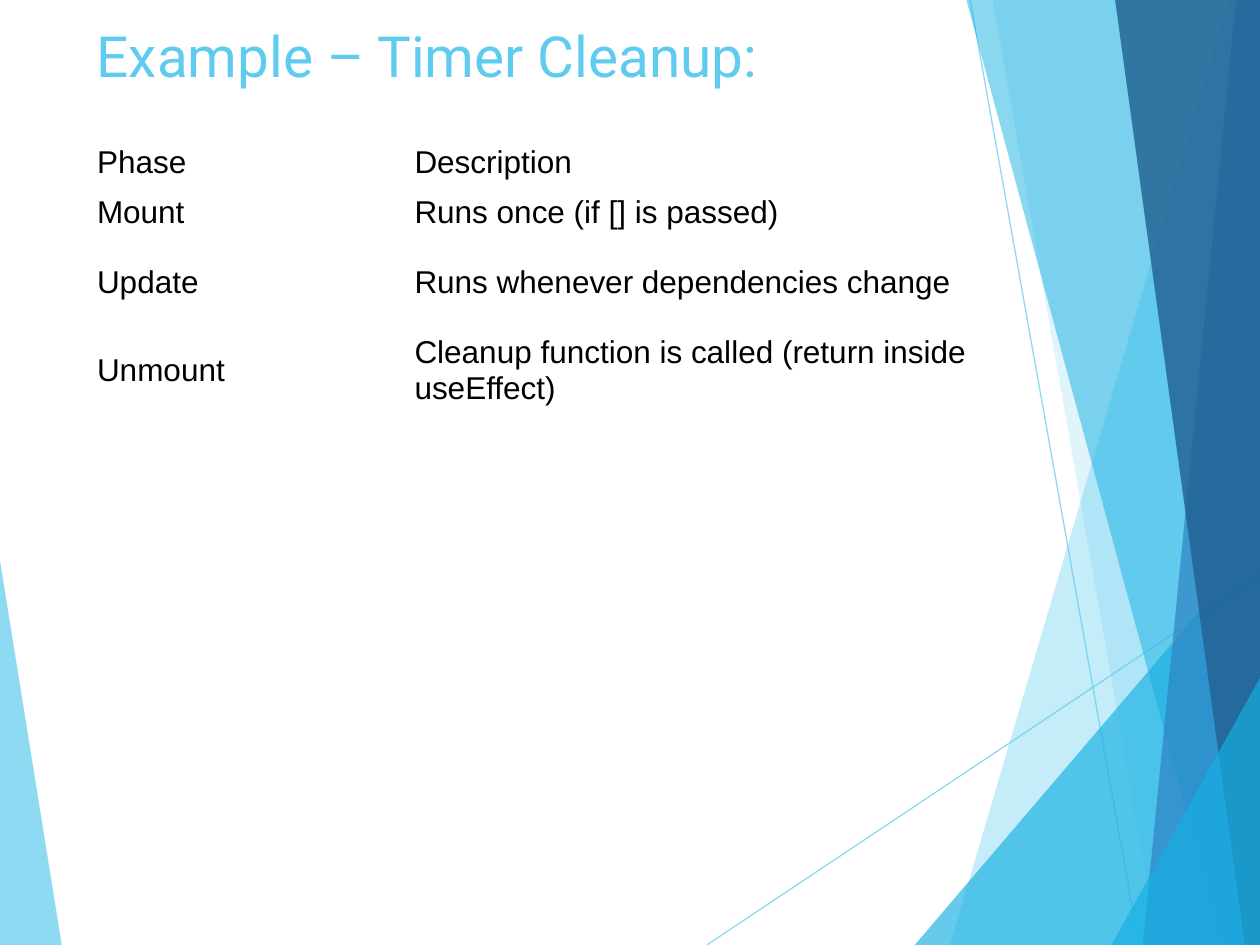
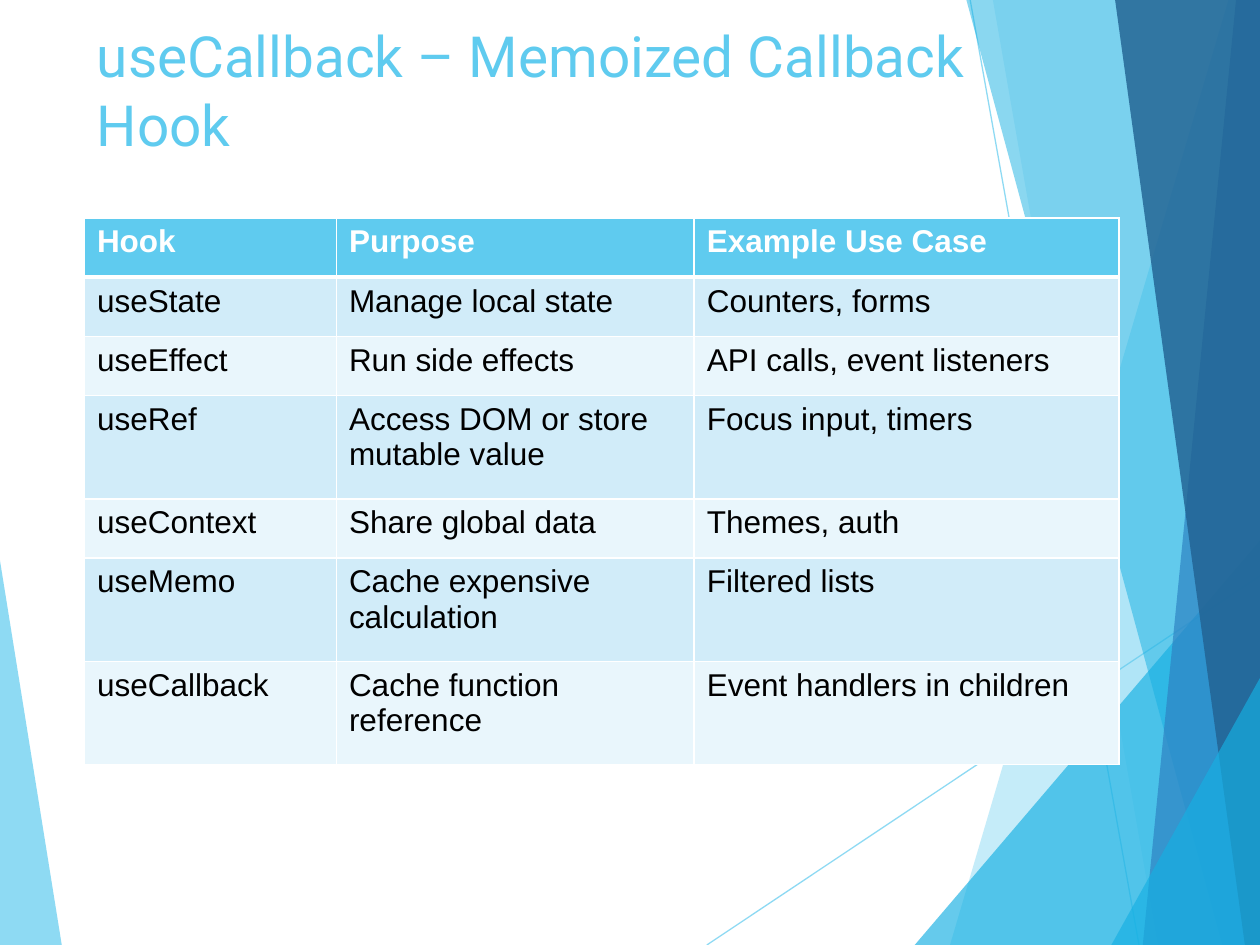
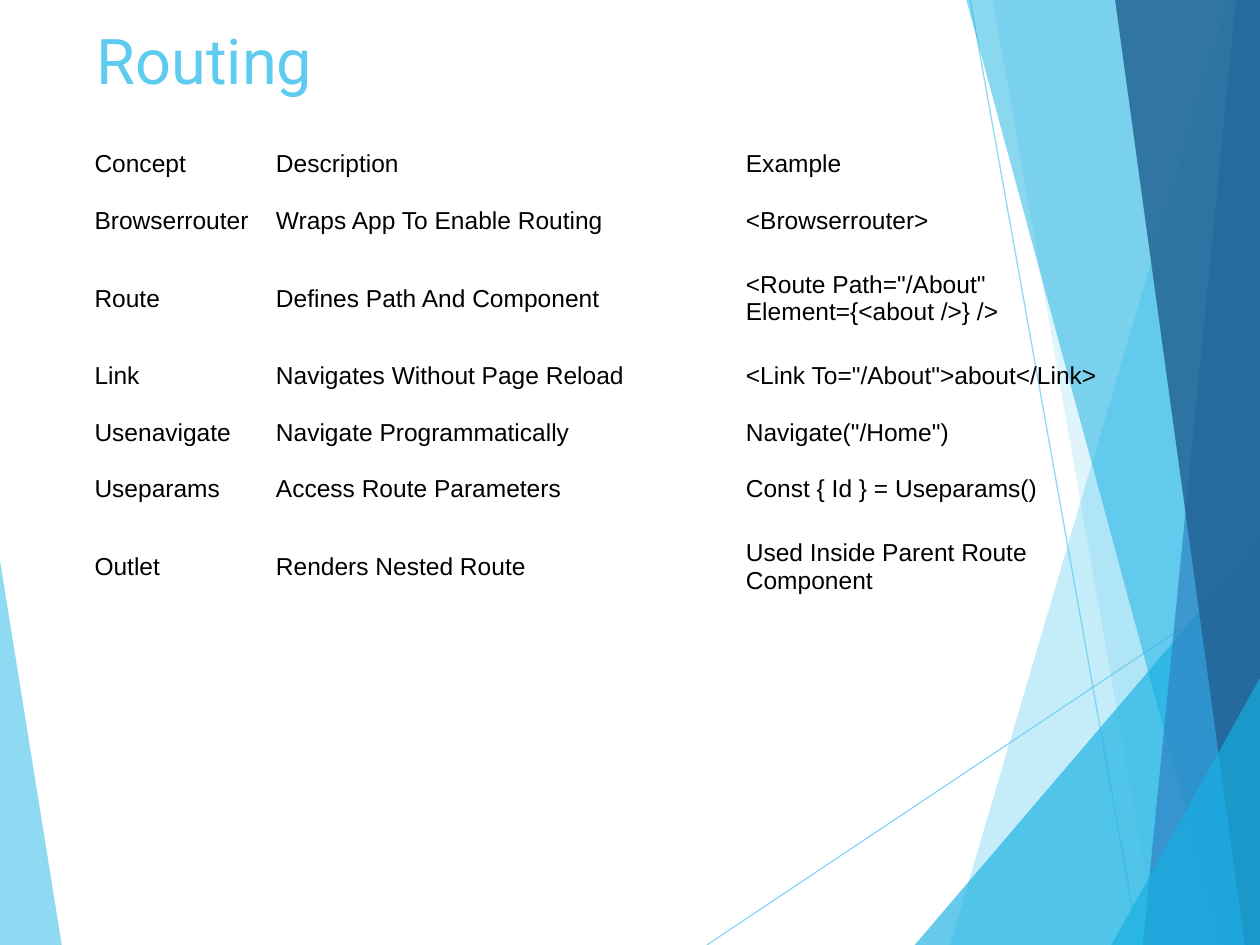
from dataclasses import dataclass

from lxml.etree import SubElement
from pptx import Presentation
from pptx.dml.color import RGBColor
from pptx.enum.shapes import MSO_CONNECTOR
from pptx.enum.text import MSO_ANCHOR
from pptx.oxml.ns import qn
from pptx.util import Inches, Pt


@dataclass(frozen=True)
class Theme:
    sky: str = "5FCBEF"
    cyan: str = "16B0E3"
    blue: str = "2E83C3"
    navy: str = "226292"
    white: str = "FFFFFF"
    black: str = "000000"
    row_dark: str = "D1ECF9"
    row_light: str = "E9F6FC"
    title_font: str = "Roboto"
    body_font: str = "Arial"
    title_size: float = 32.4
    big_title_size: float = 36
    body_size: float = 18
    small_size: float = 14


th = Theme()
NO_STYLE = "{2D5ABB26-0587-4C30-8999-92F81FD0307C}"

# Background bands, back to front: colour, opacity in percent, corners
WEDGE = (th.sky, 70, [(0, 4.45), (0.49, 7.5), (0, 7.5)])
BANDS = [
    (th.sky, 36, [(9.75, 0), (7.54, 7.5), (10, 7.5), (10, 0)]),
    (th.sky, 20, [(7.88, 0), (9.19, 7.5), (10, 7.5), (10, 0)]),
    (th.cyan, 66, [(7.26, 7.5), (10, 4.29), (10, 7.5)]),
    (th.cyan, 50, [(7.67, 0), (9.7, 7.5), (10, 7.5), (10, 0)]),
    (th.blue, 70, [(9.81, 0), (9.07, 7.5), (10, 7.5), (10, 0)]),
    (th.navy, 82, [(8.85, 0), (9.88, 7.5), (10, 7.5), (10, 0)]),
    (th.cyan, 66, [(8.82, 7.5), (10, 5.38), (10, 7.5)]),
]
RAYS = [((5.61, 7.5), (10, 4.57)), ((7.7, 0), (9.04, 7.5))]

SLIDES = [
    dict(
        title="Example – Timer Cleanup:", title_width=7.26, title_size=th.title_size,
        top=1.09, cols=[2.52, 5.45], heights=[0.4, 0.4, 0.7, 0.7],
        size=th.body_size, inset=0.1, banded=False,
        rows=[
            ("Phase", "Description"),
            ("Mount", "Runs once (if [] is passed)"),
            ("Update", "Runs whenever dependencies change"),
            ("Unmount", "Cleanup function is called (return inside useEffect)"),
        ],
    ),
    dict(
        title="useCallback – Memoized Callback \nHook", title_width=7.94, title_size=th.title_size,
        top=1.73, cols=[2, 2.84, 3.37], heights=[0.47, 0.47, 0.47, 0.82, 0.47, 0.82, 0.82],
        size=th.body_size, inset=0.1, banded=True,
        rows=[
            ("Hook", "Purpose", "Example Use Case"),
            ("useState", "Manage local state", "Counters, forms"),
            ("useEffect", "Run side effects", "API calls, event listeners"),
            ("useRef", "Access DOM or store mutable value", "Focus input, timers"),
            ("useContext", "Share global data", "Themes, auth"),
            ("useMemo", "Cache expensive calculation", "Filtered lists"),
            ("useCallback", "Cache function reference", "Event handlers in children"),
        ],
    ),
    dict(
        title="Routing", title_width=7.39, title_size=th.big_title_size,
        top=1.08, cols=[1.44, 3.73, 3.25], heights=[0.45, 0.45, 0.78, 0.45, 0.45, 0.45, 0.78],
        size=th.small_size, inset=0.08, banded=False,
        rows=[
            ("Concept", "Description", "Example"),
            ("Browserrouter", "Wraps App To Enable Routing", "<Browserrouter>"),
            ("Route", "Defines Path And Component", '<Route Path="/About" Element={<about />} />'),
            ("Link", "Navigates Without Page Reload", '<Link To="/About">about</Link>'),
            ("Usenavigate", "Navigate Programmatically", 'Navigate("/Home")'),
            ("Useparams", "Access Route Parameters", "Const { Id } = Useparams()"),
            ("Outlet", "Renders Nested Route", "Used Inside Parent Route Component"),
        ],
    ),
]


def add_text(tf, text, size, font=th.body_font, color=th.black, bold=False):
    tf.word_wrap = True
    p = tf.paragraphs[0]
    for i, line in enumerate(text.split("\n")):
        if i:
            p.add_line_break()
        r = p.add_run()
        r.text = line
        r.font.size = Pt(size)
        r.font.name = font
        r.font.bold = bold
        r.font.color.rgb = RGBColor.from_string(color)


def paint(fill, color, opacity):
    fill.solid()
    fill.fore_color.rgb = RGBColor.from_string(color)
    clr = fill._xPr.find(qn("a:solidFill"))[0]
    SubElement(clr, qn("a:alpha"), val=str(opacity * 1000))


prs = Presentation()
prs.slide_width, prs.slide_height = Inches(10), Inches(7.5)

for spec_row in SLIDES:
    s = prs.slides.add_slide(prs.slide_layouts[6])

    # Wedge on the left, thin rays, then bands on the right
    for i, (color, opacity, corners) in enumerate([WEDGE] + BANDS):
        pts = [(Inches(x), Inches(y)) for x, y in corners]
        fb = s.shapes.build_freeform(*pts[0])
        fb.add_line_segments(pts[1:], close=True)
        sp = fb.convert_to_shape()
        sp.shadow.inherit = False
        sp.line.fill.background()
        paint(sp.fill, color, opacity)
        if i == 0:
            for start, end in RAYS:
                ray = s.shapes.add_connector(
                    MSO_CONNECTOR.STRAIGHT, *[Inches(v) for v in start + end])
                ray.line.width = Pt(0.75)
                paint(ray.line.fill, th.sky, 70)
                SubElement(ray._element.spPr, qn("a:effectLst"))

    # Title
    size = spec_row["title_size"]
    sp = s.shapes.add_textbox(Inches(0.67), Inches(0.12),
                              Inches(spec_row["title_width"]), Inches(0.1 + size * 0.019))
    add_text(sp.text_frame, spec_row["title"], size, font=th.title_font, color=th.sky)

    # Table
    rows, cols, heights = spec_row["rows"], spec_row["cols"], spec_row["heights"]
    table = s.shapes.add_table(len(rows), len(cols), Inches(0.67), Inches(spec_row["top"]),
                               Inches(sum(cols)), Inches(sum(heights))).table
    table._tbl.tblPr.find(qn("a:tableStyleId")).text = NO_STYLE
    table.first_row = table.horz_banding = False
    for col, width in zip(table.columns, cols):
        col.width = Inches(width)
    for i, (row, height) in enumerate(zip(table.rows, heights)):
        row.height = Inches(height)
        for cell, text in zip(row.cells, rows[i]):
            inset = spec_row["inset"]
            cell.margin_left = cell.margin_right = Inches(inset)
            cell.margin_top = cell.margin_bottom = Inches(inset / 2)
            header = spec_row["banded"] and i == 0
            add_text(cell.text_frame, text, spec_row["size"], bold=header,
                     color=th.white if header else th.black)
            if not spec_row["banded"]:
                cell.vertical_anchor = MSO_ANCHOR.MIDDLE
                cell.fill.background()
                continue

            # White cell borders, heavier under the header
            for side in "LRTB":
                heavy = (i, side) in [(0, "B"), (1, "T")]
                ln = SubElement(cell._tc.get_or_add_tcPr(), qn(f"a:ln{side}"),
                                w=str(Pt(3 if heavy else 1)))
                SubElement(SubElement(ln, qn("a:solidFill")), qn("a:srgbClr"), val=th.white)
            band = th.row_dark if i % 2 else th.row_light
            cell.fill.solid()
            cell.fill.fore_color.rgb = RGBColor.from_string(th.sky if header else band)

prs.save("out.pptx")
